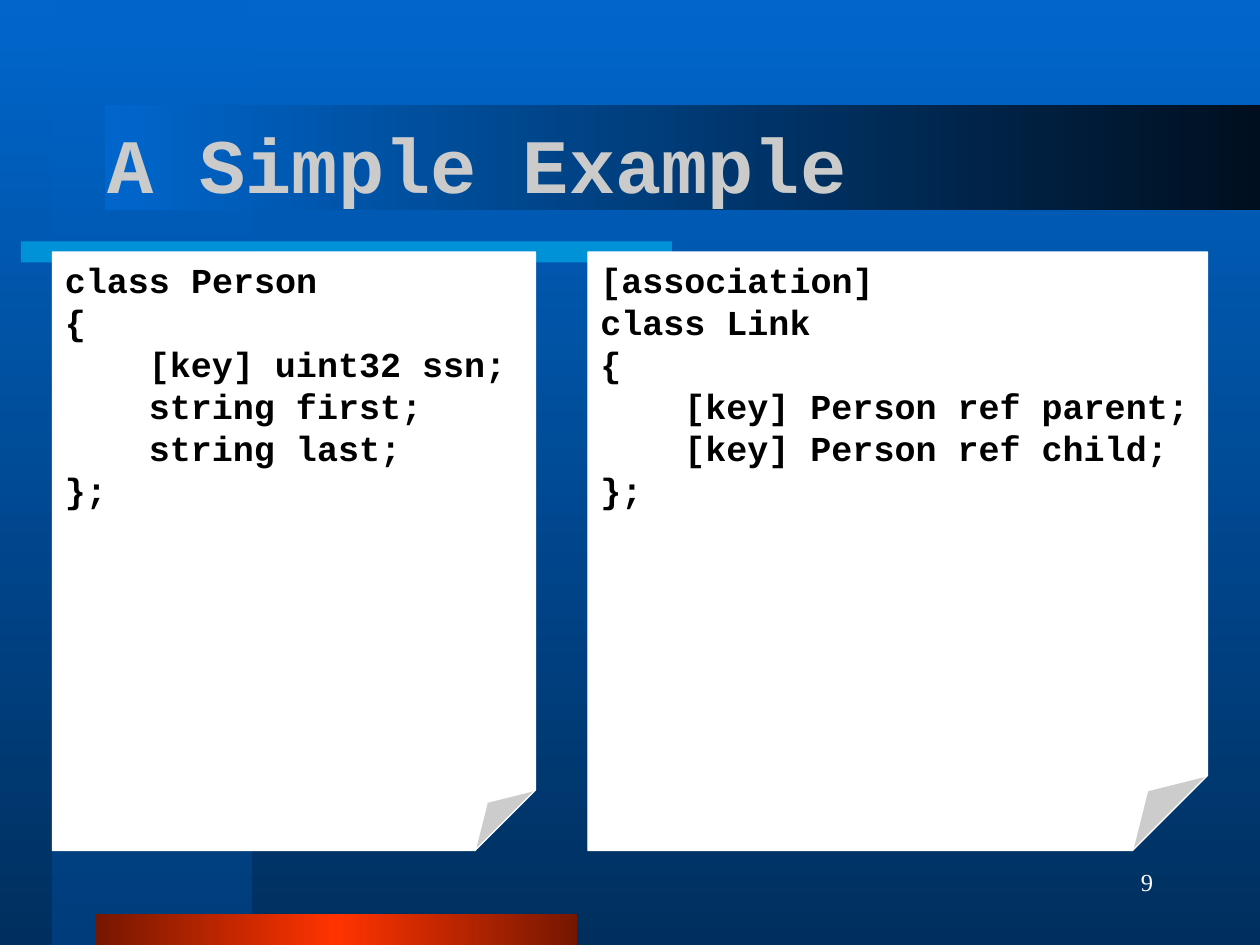
from copy import deepcopy
from lxml.etree import SubElement
from pptx import Presentation
from pptx.dml.color import RGBColor
from pptx.enum.shapes import MSO_SHAPE as Shape
from pptx.enum.text import MSO_ANCHOR as Anchor, PP_ALIGN as Align
from pptx.oxml.ns import qn
from pptx.util import Pt

PX = 9525  # 96 px to the inch
BLUE = RGBColor(0x00, 0x66, 0xCC)
NAVY = RGBColor(0x00, 0x2F, 0x5E)
DEEP = RGBColor(0x00, 0x3E, 0x7D)
NIGHT = RGBColor(0x00, 0x0F, 0x1F)
CYAN = RGBColor(0x00, 0xCC, 0xFF)
RUST = RGBColor(0x75, 0x17, 0x00)
RED = RGBColor(0xFF, 0x33, 0x00)
GRAY = RGBColor(0xCB, 0xCB, 0xCB)
WHITE = RGBColor(0xFF, 0xFF, 0xFF)
BLACK = RGBColor(0x00, 0x00, 0x00)
MONO = "Courier New"


def blend(fill, angle, colors):
    """Fill with evenly spaced gradient colours."""
    fill.gradient()
    fill.gradient_angle = angle
    first = fill.gradient_stops[0]._gs
    for _ in colors[2:]:
        first.addnext(deepcopy(first))
    for i, (stop, color) in enumerate(zip(fill.gradient_stops, colors)):
        stop.position = i / (len(colors) - 1)
        stop.color.rgb = color


def style(par, font, size, color, bold):
    for run in par.runs:
        run.font.name = font
        run.font.size = Pt(size)
        run.font.color.rgb = color
        run.font.bold = bold


deck = Presentation()
deck.slide_width, deck.slide_height = 960 * PX, 720 * PX
slide = deck.slides.add_slide(deck.slide_layouts[5])
shapes = slide.shapes
blend(slide.background.fill, 270, [BLUE, NAVY])

# Bars behind the text: box in px, gradient angle, colours, see-through
bars = [
    ((40, 0, 152, 720), 270, [BLUE, DEEP], True),
    ((16, 184, 496, 16), 0, [CYAN], True),
    ((72, 696, 368, 24), 180, [RUST, RED, RUST], False),
    ((80, 80, 880, 80), 180, [NIGHT, BLUE], False),
]
for box, angle, colors, clear in bars:
    bar = shapes.add_shape(Shape.RECTANGLE, *(n * PX for n in box))
    bar.shadow.inherit = False
    bar.line.fill.background()
    if len(colors) > 1:
        blend(bar.fill, angle, colors)
    else:
        bar.fill.solid()
        bar.fill.fore_color.rgb = colors[0]
    if clear:
        tint = next(bar._element.spPr.iter(qn("a:srgbClr")))
        SubElement(tint, qn("a:alpha"), val="50000")

title = shapes.title
title.left, title.top, title.width, title.height = (n * PX for n in (72, 64, 816, 120))
title.text_frame.text = "A Simple Example"
title.text_frame.vertical_anchor = Anchor.MIDDLE
head = title.text_frame.paragraphs[0]
head.alignment = Align.LEFT
style(head, MONO, 44, GRAY, True)
shapes._spTree.append(title._element)  # bring above the bars

# Code pages: left, width, lines; a tab marks an indented line
pages = [
    (40, 368, ["class Person", "{", "\t[key] uint32 ssn;",
               "\tstring first;", "\tstring last;", "};"]),
    (448, 472, ["[association]", "class Link", "{",
                "\t[key] Person ref parent;", "\t[key] Person ref child;", "};"]),
]
for left, width, lines in pages:
    page = shapes.add_shape(Shape.FOLDED_CORNER, left * PX, 192 * PX, width * PX, 456 * PX)
    page.shadow.inherit = False
    fold = next(page._element.spPr.iter(qn("a:avLst")))
    SubElement(fold, qn("a:gd"), name="adj", fmla="val 12500")
    page.fill.solid()
    page.fill.fore_color.rgb = WHITE
    page.line.color.rgb = WHITE
    page.line.width = Pt(0.75)
    frame = page.text_frame
    frame.word_wrap = True
    frame.vertical_anchor = Anchor.TOP
    frame.text = "\n".join(line.strip() for line in lines)
    for par, line in zip(frame.paragraphs, lines):
        par.alignment = Align.LEFT
        if line.startswith("\t"):
            par._p.get_or_add_pPr().set("marL", str(64 * PX))  # four letters
        style(par, MONO, 20, BLACK, True)

num = shapes.add_textbox(688 * PX, 648 * PX, 200 * PX, 48 * PX)
num.text_frame.word_wrap = True
num.text_frame.vertical_anchor = Anchor.MIDDLE
num.text_frame.text = "9"
par = num.text_frame.paragraphs[0]
par.alignment = Align.RIGHT
style(par, "Times New Roman", 14, WHITE, False)

deck.save("out.pptx")
